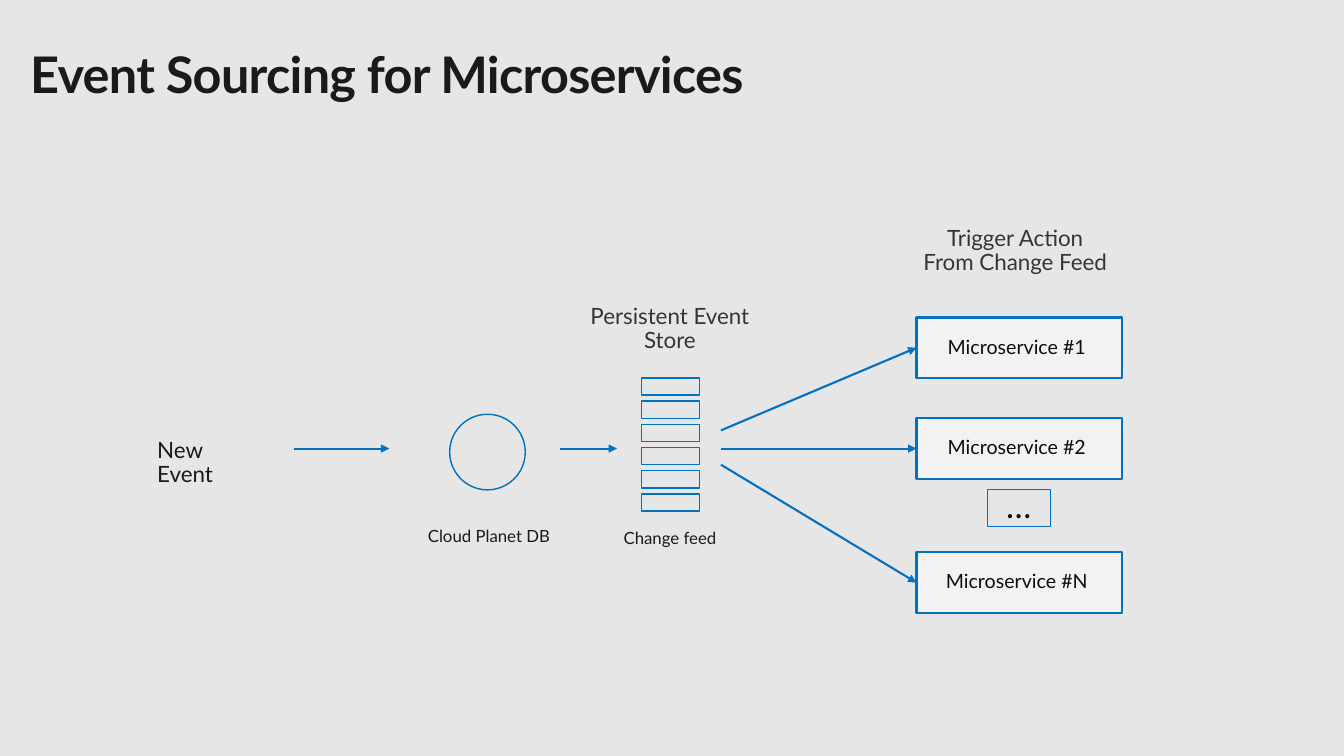
from dataclasses import dataclass

from pptx import Presentation
from pptx.dml.color import RGBColor
from pptx.enum.shapes import MSO_CONNECTOR, MSO_SHAPE
from pptx.enum.text import MSO_ANCHOR, MSO_AUTO_SIZE, PP_ALIGN
from pptx.oxml.ns import qn
from pptx.util import Inches, Pt
from lxml.etree import SubElement

FONT = "Lato"
BLUE = "0070C0"
INK = "1A1A1A"
BLACK = "0D0D0D"
GREY = "353535"
WIDE = (0.2, 0.16)
NARROW = (0.1, 0.05)
FLOW_Y = 4.45


@dataclass
class Label:
    text: str
    left: float
    top: float
    width: float
    height: float
    size: int
    color: str
    align: PP_ALIGN = PP_ALIGN.CENTER
    insets: tuple[float, float] = WIDE
    line_spacing: float = 0.9
    space_after: float = 5.9


@dataclass
class Service:
    text: str
    top: float
    arrow_y: float


@dataclass
class Arrow:
    x1: float
    y1: float
    x2: float
    y2: float


LABELS = [
    Label("Persistent Event Store", 5.41, 2.87, 2.47, 0.56, 16, GREY),
    Label("New\vEvent", 1.36, 4.2, 1.44, 0.56, 16, INK, PP_ALIGN.LEFT),
    Label("Trigger Action From Change Feed", 8.95, 2.09, 2.24, 0.8, 16, GREY),
    Label("Change feed", 6.02, 5.19, 1.25, 0.3, 12, INK,
          insets=NARROW, line_spacing=1, space_after=0),
    Label("Cloud Planet DB", 3.76, 5.17, 2.18, 0.3, 12, INK,
          insets=NARROW, line_spacing=1, space_after=0),
]
SERVICES = [
    Service("Microservice #1 ", 3.15, 4.27),
    Service("Microservice #2 ", 4.15, FLOW_Y),
    Service("Microservice #N ", 5.48, 4.61),
]
SERVICE_LEFT, SERVICE_WIDTH, SERVICE_HEIGHT = 9.09, 2.04, 0.6
FLOW_ARROWS = [Arrow(2.92, FLOW_Y, 3.86, FLOW_Y), Arrow(5.55, FLOW_Y, 6.12, FLOW_Y)]
FEED_ROWS, FEED_TOP, FEED_PITCH = 6, 3.75, 0.23


def rgb(color: str) -> RGBColor:
    return RGBColor.from_string(color)


def set_text(tf, text: str, size: int, color: str, align: PP_ALIGN,
             insets: tuple[float, float], line_spacing: float = 0.9,
             space_after: float = 0) -> None:
    tf.word_wrap = True
    tf.margin_left = tf.margin_right = Inches(insets[0])
    tf.margin_top = tf.margin_bottom = Inches(insets[1])
    p = tf.paragraphs[0]
    p.text = text
    p.alignment = align
    p.line_spacing = line_spacing
    p.space_before = Pt(0)
    p.space_after = Pt(space_after)
    for r in p.runs:
        r.font.name = FONT
        r.font.size = Pt(size)
        r.font.color.rgb = rgb(color)


def add_title(slide, text: str):
    sp = slide.shapes.title
    sp.left, sp.top = Inches(0.3), Inches(0.42)
    sp.width, sp.height = Inches(8.02), Inches(0.61)
    tf = sp.text_frame
    tf.auto_size = MSO_AUTO_SIZE.NONE
    set_text(tf, text, 36, INK, PP_ALIGN.LEFT, (0, 0), line_spacing=1)
    r = tf.paragraphs[0].runs[0]
    r.font.bold = True
    r.font._element.set("spc", "-50")


def add_label(slide, label: Label) -> None:
    sp = slide.shapes.add_textbox(Inches(label.left), Inches(label.top),
                                  Inches(label.width), Inches(label.height))
    sp.text_frame.auto_size = MSO_AUTO_SIZE.SHAPE_TO_FIT_TEXT
    set_text(sp.text_frame, label.text, label.size, label.color, label.align,
             label.insets, label.line_spacing, label.space_after)


def add_outline(slide, kind: MSO_SHAPE, left: float, top: float, width: float,
                height: float, weight: float, fill: str | None = None):
    sp = slide.shapes.add_shape(kind, Inches(left), Inches(top),
                                Inches(width), Inches(height))
    sp.shadow.inherit = False
    if fill:
        sp.fill.solid()
        sp.fill.fore_color.rgb = rgb(fill)
    else:
        sp.fill.background()
    sp.line.color.rgb = rgb(BLUE)
    sp.line.width = Pt(weight)
    return sp


def add_service(slide, service: Service):
    sp = add_outline(slide, MSO_SHAPE.RECTANGLE, SERVICE_LEFT, service.top,
                     SERVICE_WIDTH, SERVICE_HEIGHT, 1.5, "F2F2F2")
    sp.text_frame.vertical_anchor = MSO_ANCHOR.MIDDLE
    set_text(sp.text_frame, service.text, 14, BLACK, PP_ALIGN.CENTER, WIDE)
    return sp


def add_arrow(slide, arrow: Arrow):
    line = slide.shapes.add_connector(
        MSO_CONNECTOR.STRAIGHT, Inches(arrow.x1), Inches(arrow.y1),
        Inches(arrow.x2), Inches(arrow.y2))
    line.line.color.rgb = rgb(BLUE)
    line.line.width = Pt(1.5)
    SubElement(line.line._get_or_add_ln(), qn("a:tailEnd"), type="triangle")
    SubElement(line._element.spPr, qn("a:effectLst"))
    return line


def main() -> None:
    prs = Presentation()
    prs.slide_width, prs.slide_height = Inches(13.33), Inches(7.5)
    slide = prs.slides.add_slide(prs.slide_layouts[5])
    slide.background.fill.solid()
    slide.background.fill.fore_color.rgb = rgb("E6E6E6")

    add_title(slide, "Event Sourcing for Microservices")
    for label in LABELS:
        add_label(slide, label)

    add_outline(slide, MSO_SHAPE.OVAL, 4.46, 4.11, 0.75, 0.75, 1)
    for row in range(FEED_ROWS):
        add_outline(slide, MSO_SHAPE.RECTANGLE, 6.36, FEED_TOP + row * FEED_PITCH,
                    0.58, 0.17, 1)

    for arrow in FLOW_ARROWS:
        add_arrow(slide, arrow)
    for service in SERVICES:
        box = add_service(slide, service)
        target_y = service.top + SERVICE_HEIGHT / 2
        line = add_arrow(slide, Arrow(7.15, service.arrow_y, SERVICE_LEFT, target_y))
        line.end_connect(box, 1)

    more = add_outline(slide, MSO_SHAPE.RECTANGLE, 9.79, 4.86, 0.63, 0.36, 0.75)
    more.text_frame.vertical_anchor = MSO_ANCHOR.TOP
    set_text(more.text_frame, "…", 24, BLACK, PP_ALIGN.CENTER, (0, 0), space_after=5.9)

    prs.save("out.pptx")


if __name__ == "__main__":
    main()
